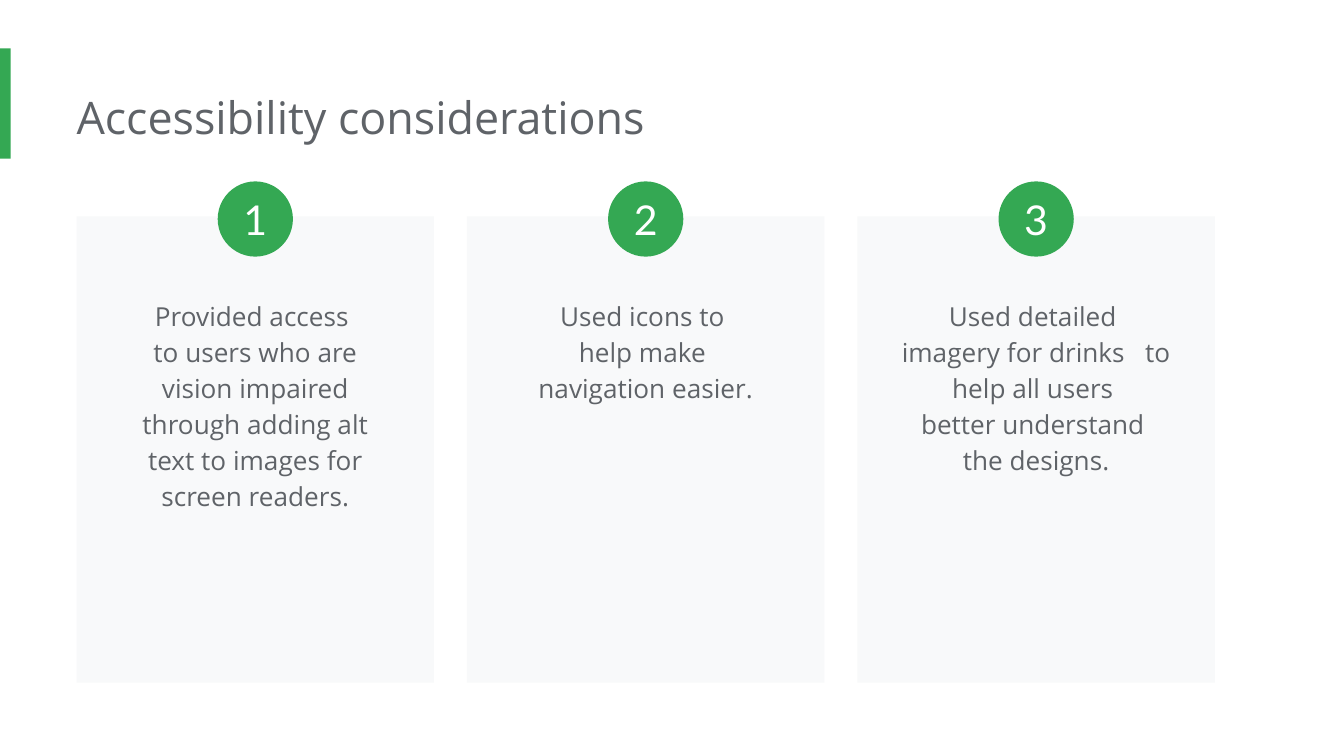
import copy
import pptx
import pptx.util
import pptx.dml.color
import pptx.enum.shapes
import pptx.enum.text
import pptx.oxml.ns

Inches = pptx.util.Inches
SHAPE = pptx.enum.shapes.MSO_SHAPE
ALIGN = pptx.enum.text.PP_ALIGN
ANCHOR = pptx.enum.text.MSO_ANCHOR
FIT = pptx.enum.text.MSO_AUTO_SIZE

GREEN, GRAY, PALE, WHITE = "34A853", "5F6368", "F8F9FA", "FFFFFF"
WIDTH = 10
FIRST, LAST = 0.57, 6.38
CARDS = [
    (2.03, "Provided access \nto users who are vision impaired through "
           "adding alt text to images for screen readers."),
    (0.98, "Used icons to \nhelp make \nnavigation easier."),
    (1.52, "Used detailed \nimagery for drinks   to help all users \n"
           "better understand \nthe designs."),
]


def color(code):
    return pptx.dml.color.RGBColor.from_string(code)


def apply(item, values):
    for name, value in values.items():
        setattr(item, name, value)


def place(box):
    return [Inches(side) for side in box]


def write(frame, text, face, size, ink, inset, para=None, **values):
    left, top, right, bottom = place(inset)
    apply(frame, {"margin_left": left, "margin_top": top,
                  "margin_right": right, "margin_bottom": bottom,
                  "word_wrap": True, **values})
    line = frame.paragraphs[0]
    line.text = text
    apply(line, para or {})
    for run in line.runs:
        apply(run.font, {"name": face, "size": pptx.util.Pt(size)})
        run.font.color.rgb = color(ink)
    for gap in line._p.findall(pptx.oxml.ns.qn("a:br")):
        gap.append(copy.deepcopy(line.runs[0]._r.rPr))


def add_block(slide, kind, box, fill):
    shape = slide.shapes.add_shape(kind, *place(box))
    shape.shadow.inherit = False
    shape.fill.solid()
    shape.fill.fore_color.rgb = color(fill)
    shape.line.fill.background()
    return shape


def add_text(slide, box, text, size, inset, para=None):
    frame = slide.shapes.add_textbox(*place(box)).text_frame
    write(frame, text, "Open Sans", size, GRAY, inset, para,
          auto_size=FIT.SHAPE_TO_FIT_TEXT)


def add_card(slide, left, height, text):
    add_block(slide, SHAPE.RECTANGLE, (left, 1.61, 2.66, 3.47), PALE)
    add_text(slide, (left + 0.21, 2.1, 2.24, height), text, 14, [0.1] * 4,
             {"alignment": ALIGN.CENTER, "line_spacing": 1.15})


def add_badge(slide, left, label):
    badge = add_block(slide, SHAPE.OVAL, (left + 1.05, 1.35, 0.56, 0.56), GREEN)
    write(badge.text_frame, label, "Lato", 22, WHITE, [0] * 4,
          {"alignment": ALIGN.CENTER}, vertical_anchor=ANCHOR.MIDDLE)


def main():
    deck = pptx.Presentation()
    apply(deck, {"slide_width": Inches(WIDTH),
                 "slide_height": Inches(WIDTH * 9 / 16)})
    slide = deck.slides.add_slide(deck.slide_layouts[6])
    add_block(slide, SHAPE.RECTANGLE, (0, 0.36, 0.08, 0.82), GREEN)
    add_text(slide, (FIRST, 0.57, 7.66, 0.61), "Accessibility considerations",
             24, (0, 0.1, 0.1, 0.1))
    step = (LAST - FIRST) / (len(CARDS) - 1)
    lefts = [FIRST + step * index for index in range(len(CARDS))]
    for left, (height, text) in zip(lefts, CARDS):
        add_card(slide, left, height, text)
    for count, left in enumerate(lefts, 1):
        add_badge(slide, left, str(count))
    deck.save("out.pptx")


if __name__ == "__main__":
    main()
